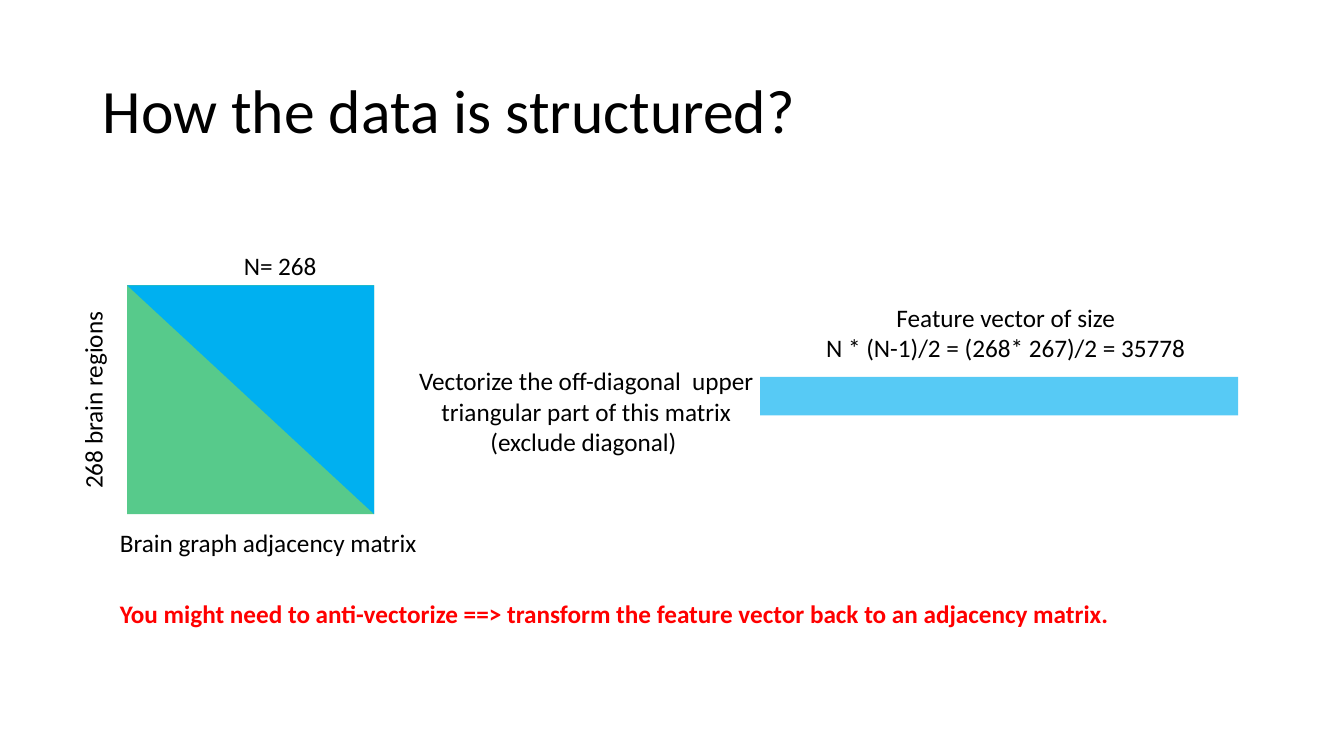
from pptx import Presentation
from pptx.dml.color import RGBColor
from pptx.enum.shapes import MSO_SHAPE
from pptx.enum.text import MSO_ANCHOR, MSO_AUTO_SIZE, PP_ALIGN
from pptx.oxml.ns import qn
from pptx.util import Inches, Pt
from lxml import etree

WIDTH, HEIGHT = Inches(13.33), Inches(7.5)
FONT = "Calibri"
BLACK = RGBColor(0x00, 0x00, 0x00)
RED = RGBColor(0xFF, 0x00, 0x00)
GREEN = RGBColor(0x00, 0xB0, 0x50)
BLUE = RGBColor(0x00, 0xB0, 0xF0)
LEFT, CENTER = PP_ALIGN.LEFT, PP_ALIGN.CENTER
MIDDLE = MSO_ANCHOR.MIDDLE
GROW, FIXED = MSO_AUTO_SIZE.SHAPE_TO_FIT_TEXT, MSO_AUTO_SIZE.NONE
RECTANGLE, TRIANGLE = MSO_SHAPE.RECTANGLE, MSO_SHAPE.RIGHT_TRIANGLE

MATRIX = (9.45, 37.73, 18.38, 30.27)
VECTOR = (56.56, 49.87, 35.56, 5.07)
LINE = 5.33
CAPTION_LEFT = 8.18


def area(left, top, width, height):
    return (int(WIDTH * left / 100), int(HEIGHT * top / 100),
            int(WIDTH * width / 100), int(HEIGHT * height / 100))


def write(frame, lines, *, size=18, color=BLACK, bold=False, align=LEFT, spacing=None):
    for index, line in enumerate(lines):
        para = frame.paragraphs[0] if index == 0 else frame.add_paragraph()
        para.alignment = align
        para.line_spacing = spacing
        span = para.add_run()
        span.text = line
        span.font.name = FONT
        span.font.size = Pt(size)
        span.font.bold = bold
        span.font.color.rgb = color


def add_title(page, text, place):
    title = page.shapes.title
    title.left, title.top, title.width, title.height = area(*place)
    frame = title.text_frame
    frame.auto_size = FIXED
    frame.vertical_anchor = MIDDLE
    write(frame, [text], size=44, spacing=0.9)


def add_label(page, lines, place, *, wrap=False, rotation=0, **style):
    box = page.shapes.add_textbox(*area(*place))
    box.rotation = rotation
    frame = box.text_frame
    frame.word_wrap = wrap
    frame.auto_size = GROW
    write(frame, lines, **style)


def add_block(page, kind, place, color, *, opacity=100, rotation=0):
    block = page.shapes.add_shape(kind, *area(*place))
    block.shadow.inherit = False
    block.rotation = rotation
    block.line.fill.background()
    block.fill.solid()
    block.fill.fore_color.rgb = color
    if opacity < 100:
        shade = block.fill._xPr.find(qn("a:solidFill"))[0]
        etree.SubElement(shade, qn("a:alpha")).set("val", str(opacity * 1000))


def main():
    deck = Presentation()
    deck.slide_width, deck.slide_height = WIDTH, HEIGHT
    page = deck.slides.add_slide(deck.slide_layouts[5])
    add_title(page, "How the data is structured?", (6.9, 5.33, 86.27, 19.33))

    add_block(page, RECTANGLE, MATRIX, GREEN, opacity=66)
    add_block(page, TRIANGLE, MATRIX, BLUE, rotation=180)
    add_label(page, ["N= 268"], (17.4, 32.4, 6.98, LINE))
    add_label(page, ["268 brain regions"], (-0.53, 50.13, 14.85, LINE), rotation=270)
    add_label(page, ["Brain graph adjacency matrix"], (CAPTION_LEFT, 69.07, 23.86, LINE))

    add_label(page, ["Vectorize the off-diagonal  upper triangular part of this matrix",
                     "(exclude diagonal) "],
              (29.71, 47.73, 27.83, 13.47), wrap=True, align=CENTER)

    add_block(page, RECTANGLE, VECTOR, BLUE, opacity=66)
    add_label(page, ["Feature vector of size", "N * (N-1)/2 = (268* 267)/2 = 35778"],
              (60.54, 39.33, 28.58, 9.47), align=CENTER)

    add_label(page, ["You might need to anti-vectorize ==> transform the feature vector "
                     "back to an adjacency matrix."],
              (CAPTION_LEFT, 78.53, 76.74, LINE), color=RED, bold=True)
    deck.save("out.pptx")


if __name__ == "__main__":
    main()
